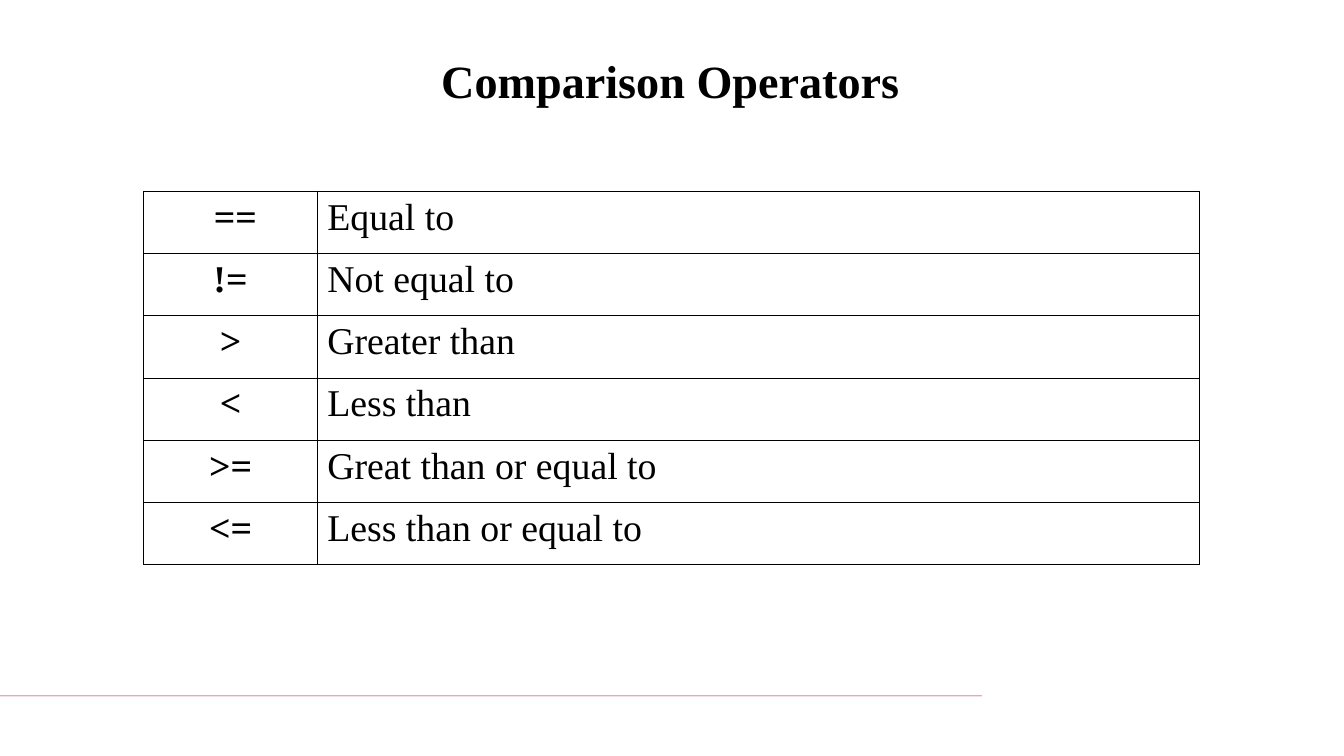
from lxml.etree import SubElement
from pptx import Presentation
from pptx.dml.color import RGBColor
from pptx.enum.shapes import MSO_SHAPE
from pptx.enum.text import MSO_ANCHOR, PP_ALIGN
from pptx.oxml.ns import qn
from pptx.util import Inches, Pt

# Content
TITLE = "Comparison Operators"
OPERATORS = [
    (" ==", "Equal to"),
    ("!=", "Not equal to"),
    (">", "Greater than"),
    ("<", "Less than"),
    (">=", "Great than or equal to"),
    ("<=", "Less than or equal to"),
]

THEME = {
    "font": "Times New Roman",
    "text": "000000",
    "paper": "FFFFFF",
    "rule": "BC0940",
    "title_size": 44,
    "table_size": 36,
    "border_width": 0.75,
}

# Layout in inches
SLIDE_SIZE = (17.78, 10)
TITLE_BOX = (0.66, 0.64, 16.42, 0.84)
RULE_BOX = (0, 9.2, 12.99, 0.01)
TABLE_LEFT, TABLE_TOP = 1.9, 2.53
COLUMN_WIDTHS = (2.3, 11.67)
ROW_HEIGHT = 4.94 / len(OPERATORS)
CELL_MARGIN_X, CELL_MARGIN_Y = 0.13, 0.07


def color(key):
    return RGBColor.from_string(THEME[key])


def write(text_frame, text, size, bold, align):
    text_frame.text = text
    paragraph = text_frame.paragraphs[0]
    paragraph.alignment = align
    font = paragraph.runs[0].font
    font.name, font.size, font.bold = THEME["font"], Pt(size), bold
    font.color.rgb = color("text")


def add_borders(cell):
    properties = cell._tc.get_or_add_tcPr()
    for side in ("lnL", "lnR", "lnT", "lnB"):
        line = SubElement(properties, qn(f"a:{side}"),
                          w=str(Pt(THEME["border_width"])))
        fill = SubElement(line, qn("a:solidFill"))
        SubElement(fill, qn("a:srgbClr"), val=THEME["text"])


def add_rule(slide):
    rule = slide.shapes.add_shape(MSO_SHAPE.RECTANGLE, *map(Inches, RULE_BOX))
    rule.shadow.inherit = False
    rule.fill.solid()
    rule.fill.fore_color.rgb = color("rule")
    rule.line.fill.background()


def add_title(slide):
    title = slide.shapes.title
    title.left, title.top, title.width, title.height = map(Inches, TITLE_BOX)
    title.text_frame.vertical_anchor = MSO_ANCHOR.MIDDLE
    write(title.text_frame, TITLE, THEME["title_size"], True, PP_ALIGN.CENTER)


def add_operator_table(slide):
    table = slide.shapes.add_table(
        len(OPERATORS), len(COLUMN_WIDTHS),
        Inches(TABLE_LEFT), Inches(TABLE_TOP),
        Inches(sum(COLUMN_WIDTHS)), Inches(ROW_HEIGHT * len(OPERATORS)),
    ).table
    table.first_row = table.horz_banding = False
    for column, width in zip(table.columns, COLUMN_WIDTHS):
        column.width = Inches(width)

    for row, texts in enumerate(OPERATORS):
        table.rows[row].height = Inches(ROW_HEIGHT)
        for column, text in enumerate(texts):
            cell = table.cell(row, column)
            cell.margin_left = cell.margin_right = Inches(CELL_MARGIN_X)
            cell.margin_top = cell.margin_bottom = Inches(CELL_MARGIN_Y)
            is_operator = column == 0
            write(cell.text_frame, text, THEME["table_size"], is_operator,
                  PP_ALIGN.CENTER if is_operator else PP_ALIGN.LEFT)
            add_borders(cell)
            cell.fill.solid()
            cell.fill.fore_color.rgb = color("paper")


def main():
    presentation = Presentation()
    presentation.slide_width, presentation.slide_height = map(Inches, SLIDE_SIZE)
    slide = presentation.slides.add_slide(presentation.slide_layouts[5])
    slide.background.fill.solid()
    slide.background.fill.fore_color.rgb = color("paper")
    add_rule(slide)
    add_title(slide)
    add_operator_table(slide)
    presentation.save("out.pptx")


if __name__ == "__main__":
    main()
